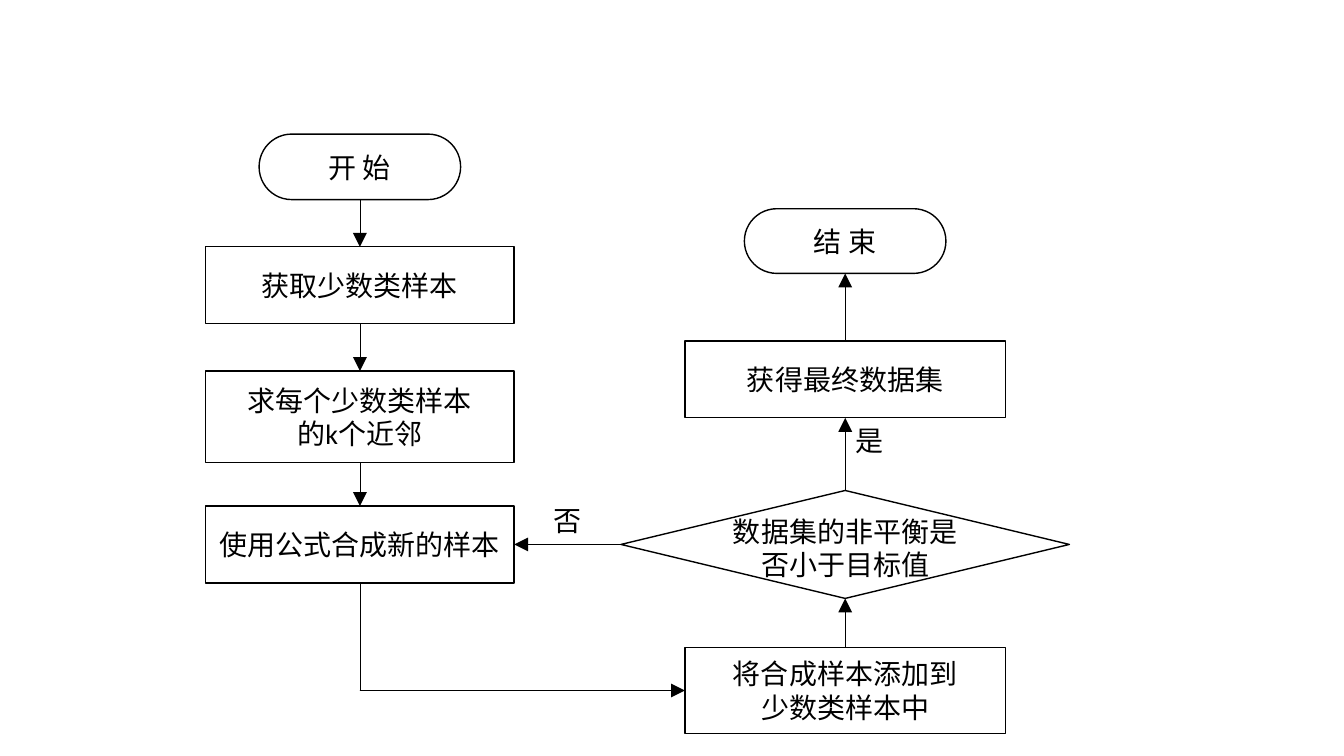
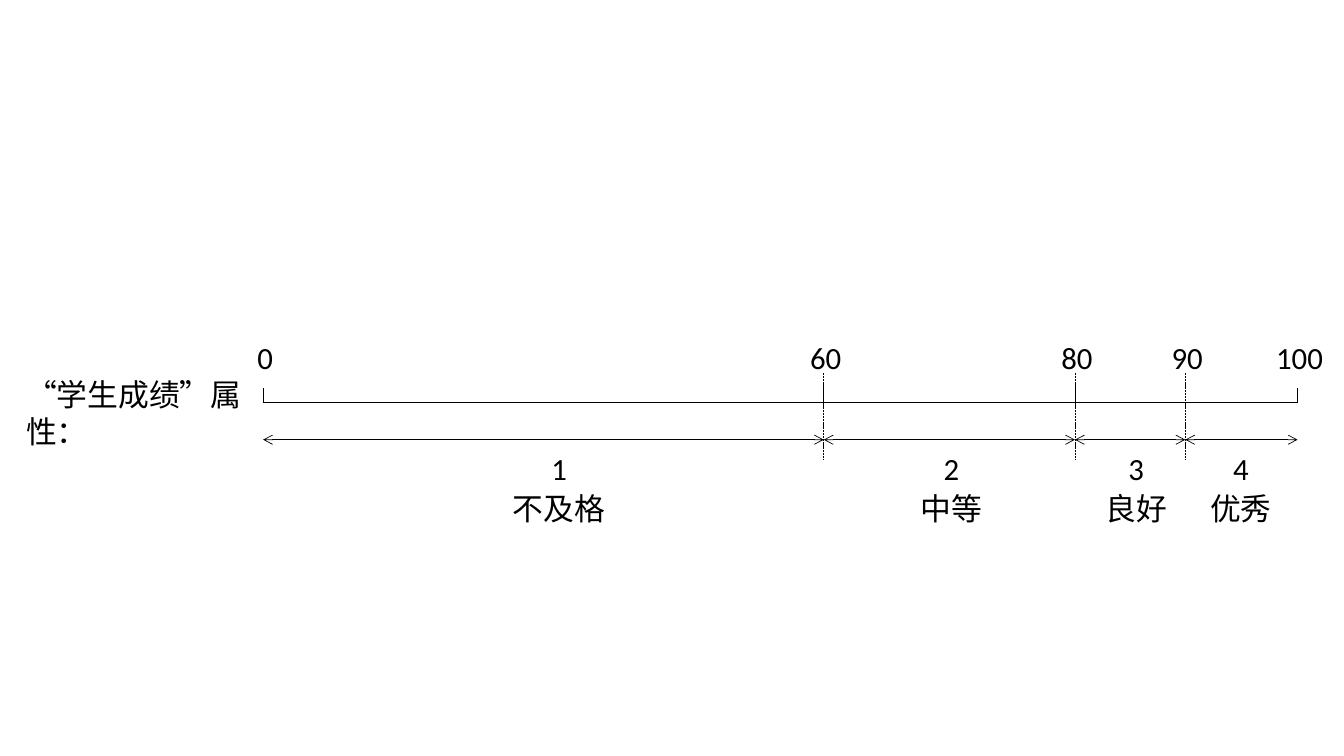
import pptx
import pptx.dml.color
import pptx.enum.dml
import pptx.enum.shapes
import pptx.enum.text
import pptx.oxml.ns
import pptx.util
from lxml import etree

Cm = pptx.util.Cm
Pt = pptx.util.Pt
SHAPE = pptx.enum.shapes.MSO_SHAPE
ALIGN = pptx.enum.text.PP_ALIGN
COLORS = {"ink": "000000", "paper": "FFFFFF"}
INK = pptx.dml.color.RGBColor.from_string(COLORS["ink"])
PAPER = pptx.dml.color.RGBColor.from_string(COLORS["paper"])
FONT = "Calibri"
FLOW_SIZE, SCALE_SIZE = 20, 22


def write_lines(text_frame, lines, size, alignment=ALIGN.CENTER):
    text_frame.word_wrap = True
    for index, line in enumerate(lines):
        paragraph = text_frame.add_paragraph() if index else text_frame.paragraphs[0]
        paragraph.alignment = alignment
        run = paragraph.add_run()
        run.text = line
        run.font.name = FONT
        run.font.size = Pt(size)
        run.font.color.rgb = INK


def add_line(slide, start, end, heads=(), head_type="triangle", head_size="lg", dashed=False):
    connector = slide.shapes.add_connector(
        pptx.enum.shapes.MSO_CONNECTOR.STRAIGHT, *[Cm(value) for value in (*start, *end)])
    connector.line.color.rgb = INK
    connector.line.width = Pt(0.5)
    if dashed:
        connector.line.dash_style = pptx.enum.dml.MSO_LINE.SQUARE_DOT
    properties = connector._element.spPr
    outline = properties.find(pptx.oxml.ns.qn("a:ln"))
    for head in heads:
        etree.SubElement(outline, pptx.oxml.ns.qn("a:" + head),
                         type=head_type, w=head_size, len=head_size)
    etree.SubElement(properties, pptx.oxml.ns.qn("a:effectLst"))
    return connector


presentation = pptx.Presentation()
presentation.slide_width = Cm(33.87)
presentation.slide_height = Cm(19.05)
blank_layout = presentation.slide_layouts[6]
flow_slide = presentation.slides.add_slide(blank_layout)
scale_slide = presentation.slides.add_slide(blank_layout)

LEFT_COLUMN, RIGHT_COLUMN = 9.07, 21.3
steps = {
    "start": (SHAPE.FLOWCHART_TERMINATOR, LEFT_COLUMN, 3.38, 5.08, 1.65, ["开 始"]),
    "samples": (SHAPE.RECTANGLE, LEFT_COLUMN, 6.22, 7.78, 1.94, ["获取少数类样本"]),
    "neighbours": (SHAPE.RECTANGLE, LEFT_COLUMN, 9.35, 7.78, 2.3,
                   ["求每个少数类样本", "的k个近邻"]),
    "synthesis": (SHAPE.RECTANGLE, LEFT_COLUMN, 12.75, 7.78, 1.94, ["使用公式合成新的样本"]),
    "addition": (SHAPE.RECTANGLE, RIGHT_COLUMN, 16.31, 8.08, 2.18,
                 ["将合成样本添加到", "少数类样本中"]),
    "decision": (SHAPE.DIAMOND, RIGHT_COLUMN, 12.36, 11.3, 2.72, []),
    "dataset": (SHAPE.RECTANGLE, RIGHT_COLUMN, 8.59, 8.08, 1.94, ["获得最终数据集"]),
    "end": (SHAPE.FLOWCHART_TERMINATOR, RIGHT_COLUMN, 5.26, 5.08, 1.63, ["结 束"]),
}
step_shapes = {}
for name, (kind, centre, top, width, height, lines) in steps.items():
    shape = flow_slide.shapes.add_shape(
        kind, Cm(centre - width / 2), Cm(top), Cm(width), Cm(height))
    shape.shadow.inherit = False
    if kind == SHAPE.FLOWCHART_TERMINATOR:
        shape.fill.solid()
        shape.fill.fore_color.rgb = PAPER
    else:
        shape.fill.background()
    shape.line.color.rgb = INK
    shape.line.width = Pt(1)
    write_lines(shape.text_frame, lines, FLOW_SIZE)
    step_shapes[name] = shape

TOP, LEFT, BOTTOM, RIGHT = range(4)
links = [
    ("start", BOTTOM, "samples", TOP),
    ("samples", BOTTOM, "neighbours", TOP),
    ("neighbours", BOTTOM, "synthesis", TOP),
    ("addition", TOP, "decision", BOTTOM),
    ("decision", TOP, "dataset", BOTTOM),
    ("dataset", TOP, "end", BOTTOM),
    ("decision", LEFT, "synthesis", RIGHT),
]
for source, source_side, target, target_side in links:
    connector = add_line(flow_slide, (0, 0), (0, 0), ["tailEnd"])
    connector.begin_connect(step_shapes[source], source_side)
    connector.end_connect(step_shapes[target], target_side)

corner = (LEFT_COLUMN, 17.4)
connector = add_line(flow_slide, corner, corner)
connector.begin_connect(step_shapes["synthesis"], BOTTOM)
connector = add_line(flow_slide, corner, corner, ["tailEnd"])
connector.end_connect(step_shapes["addition"], LEFT)

AXIS_TOP, BAND_TOP = 10.13, 11.08
ticks = {"0": 6.63, "60": 20.76, "80": 27.09, "90": 29.87, "100": 32.7}
positions = list(ticks.values())
add_line(scale_slide, (positions[0], AXIS_TOP), (positions[-1], AXIS_TOP))
for score, position in ticks.items():
    if score != "90":
        add_line(scale_slide, (position, 9.78), (position, AXIS_TOP))
    if score not in ("0", "100"):
        add_line(scale_slide, (position, 9.4), (position, 11.6), dashed=True)
for start, end in zip(positions, positions[1:]):
    add_line(scale_slide, (start, BAND_TOP), (end, BAND_TOP),
             ["headEnd", "tailEnd"], "arrow", "med")

labels = [
    (flow_slide, "否", 14.31, 12.57, 1.5, FLOW_SIZE, ALIGN.CENTER),
    (flow_slide, "是", 21.92, 10.54, 1.5, FLOW_SIZE, ALIGN.CENTER),
    (flow_slide, "数据集的非平衡是否小于目标值", RIGHT_COLUMN, 12.83, 6.7, FLOW_SIZE, ALIGN.CENTER),
    (scale_slide, "“学生成绩”属性：", 3.7, 9.35, 6.58, SCALE_SIZE, ALIGN.LEFT),
]
for score, position in ticks.items():
    labels.append((scale_slide, score, position + 0.05, 8.4, 2, SCALE_SIZE, ALIGN.CENTER))
grades = [("不及格", 14.09), ("中等", 23.98), ("良好", 28.63), ("优秀", 31.27)]
for number, (grade, centre) in enumerate(grades, 1):
    for text, top in ((str(number), 11.2), (grade, 12.22)):
        labels.append((scale_slide, text, centre, top, 3.2, SCALE_SIZE, ALIGN.CENTER))
for slide, text, centre, top, width, size, alignment in labels:
    text_box = slide.shapes.add_textbox(Cm(centre - width / 2), Cm(top), Cm(width), Cm(1.1))
    write_lines(text_box.text_frame, [text], size, alignment)

presentation.save("out.pptx")
